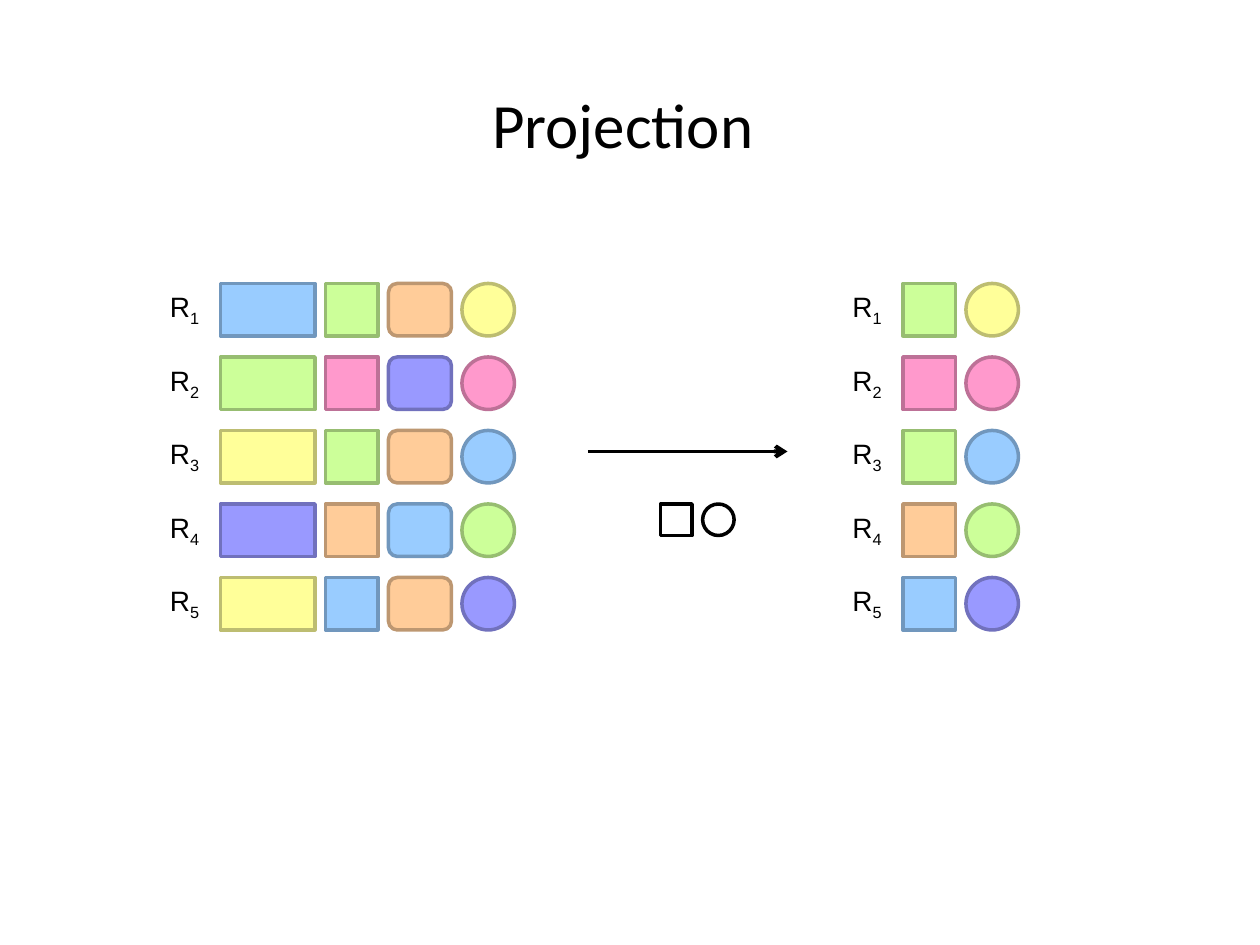
from lxml import etree
from pptx import Presentation
from pptx.dml.color import RGBColor
from pptx.enum.shapes import MSO_CONNECTOR, MSO_SHAPE
from pptx.enum.text import MSO_ANCHOR, MSO_AUTO_SIZE, PP_ALIGN
from pptx.oxml.ns import qn
from pptx.util import Pt

RECT = MSO_SHAPE.RECTANGLE
ROUNDED = MSO_SHAPE.ROUNDED_RECTANGLE
OVAL = MSO_SHAPE.OVAL

COLORS = {
    "black": "000000",
    "blue": "99CCFF", "blue edge": "7197BD",
    "green": "CCFF99", "green edge": "97BD71",
    "orange": "FFCC99", "orange edge": "BD9771",
    "yellow": "FFFF99", "yellow edge": "BDBD71",
    "pink": "FF99CC", "pink edge": "BD7197",
    "violet": "9999FF", "violet edge": "7171BD",
}

# One row per record, one colour per attribute
RECORDS = [
    ("blue", "green", "orange", "yellow"),
    ("green", "pink", "violet", "pink"),
    ("yellow", "green", "orange", "blue"),
    ("violet", "orange", "blue", "green"),
    ("yellow", "blue", "orange", "violet"),
]
ATTRIBUTES = [(RECT, 54), (RECT, 30), (ROUNDED, 36), (OVAL, 30)]
PROJECTED = [1, 3]

FIRST_ROW_TOP, ROW_PITCH = 162, 42
CELL_HEIGHT, CELL_GAP = 30, 6
LABEL_TO_CELLS = 36


def rgb(name):
    return RGBColor.from_string(COLORS[name])


def add_title(slide, text):
    title = slide.shapes.title
    title.left, title.top, title.width, title.height = Pt(0), Pt(43.2), Pt(720), Pt(54)
    frame = title.text_frame
    frame.text = text
    frame.vertical_anchor = MSO_ANCHOR.MIDDLE
    paragraph = frame.paragraphs[0]
    paragraph.alignment = PP_ALIGN.CENTER
    paragraph.font.name = "Calibri"
    paragraph.font.size = Pt(36)
    paragraph.font.color.rgb = rgb("black")


def add_cell(shapes, kind, left, top, width, height, edge, fill=None):
    cell = shapes.add_shape(kind, Pt(left), Pt(top), Pt(width), Pt(height))
    cell.shadow.inherit = False
    if fill:
        cell.fill.solid()
        cell.fill.fore_color.rgb = rgb(fill)
    else:
        cell.fill.background()
    cell.line.color.rgb = rgb(edge)
    cell.line.width = Pt(2)


def add_record_label(slide, number, left, top):
    box = slide.shapes.add_textbox(Pt(left), Pt(top), Pt(32.4), Pt(26.6))
    frame = box.text_frame
    frame.word_wrap = False
    frame.auto_size = MSO_AUTO_SIZE.SHAPE_TO_FIT_TEXT
    paragraph = frame.paragraphs[0]
    paragraph.add_run().text = "R"
    subscript = paragraph.add_run()
    subscript.text = str(number)
    subscript._r.get_or_add_rPr().set("baseline", "-25000")
    paragraph.font.name = "Arial"
    paragraph.font.size = Pt(16)
    paragraph.font.color.rgb = rgb("black")


def add_relation(slide, left, columns):
    """Draw every record, showing only the attributes in columns."""
    for row, record in enumerate(RECORDS):
        top = FIRST_ROW_TOP + row * ROW_PITCH
        add_record_label(slide, row + 1, left, top)
        cell_left = left + LABEL_TO_CELLS
        for column in columns:
            kind, width = ATTRIBUTES[column]
            color = record[column]
            add_cell(slide.shapes, kind, cell_left, top, width, CELL_HEIGHT,
                     f"{color} edge", color)
            cell_left += width + CELL_GAP


def add_arrow(slide, left, right, y):
    arrow = slide.shapes.add_connector(
        MSO_CONNECTOR.STRAIGHT, Pt(left), Pt(y), Pt(right), Pt(y))
    arrow.line.color.rgb = rgb("black")
    arrow.line.width = Pt(2.25)
    etree.SubElement(arrow.line._get_or_add_ln(), qn("a:tailEnd"), type="arrow")
    etree.SubElement(arrow._element.spPr, qn("a:effectLst"))


def add_projection_key(slide, left, top, size):
    """Outline the kept attributes below the arrow."""
    key = slide.shapes.add_group_shape()
    for index, column in enumerate(PROJECTED):
        kind = ATTRIBUTES[column][0]
        add_cell(key.shapes, kind, left + index * (size + CELL_GAP), top,
                 size, size, "black")


def main():
    presentation = Presentation()
    presentation.slide_width, presentation.slide_height = Pt(720), Pt(540)
    slide = presentation.slides.add_slide(presentation.slide_layouts[5])
    add_title(slide, "Projection ")
    add_relation(slide, 90, range(len(ATTRIBUTES)))
    add_arrow(slide, 336, 450, 258)
    add_projection_key(slide, 377.5, 288, 18)
    add_relation(slide, 480, PROJECTED)
    presentation.save("out.pptx")


if __name__ == "__main__":
    main()
